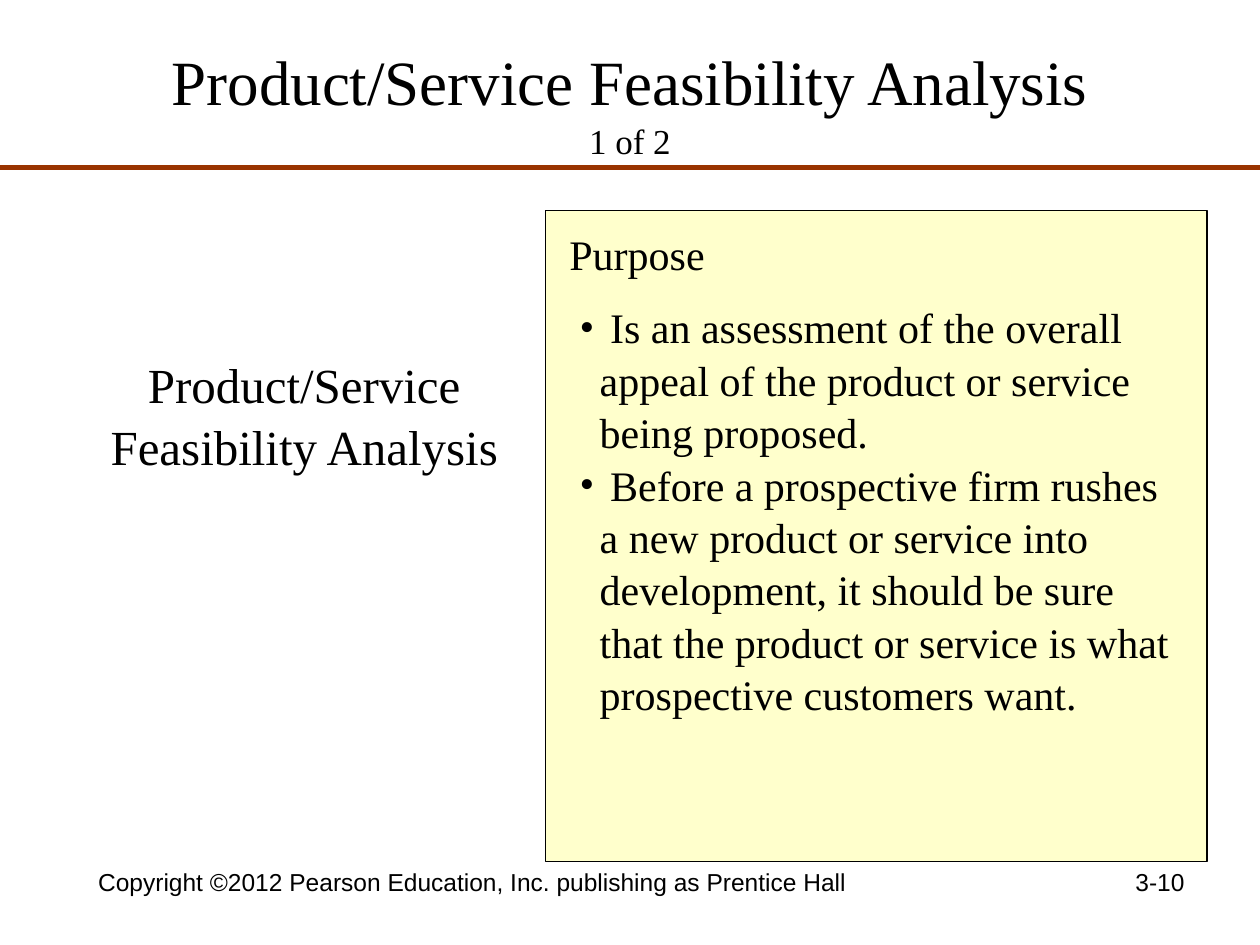
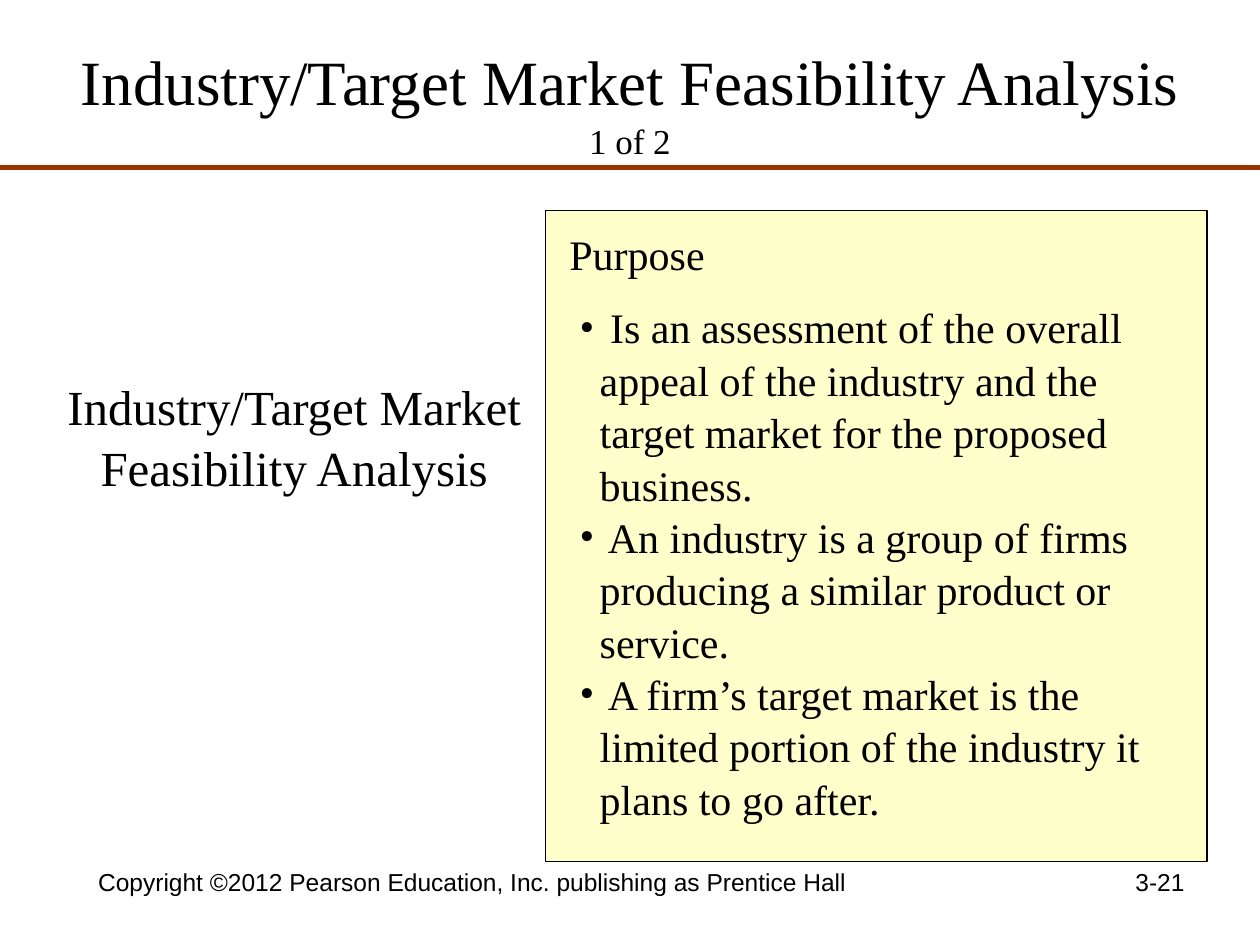
import pptx
import pptx.dml.color
import pptx.enum.shapes
import pptx.enum.text
import pptx.oxml.ns
import pptx.util
from lxml import etree

Inches = pptx.util.Inches
Pt = pptx.util.Pt
RGB = pptx.dml.color.RGBColor.from_string
ALIGN = pptx.enum.text.PP_ALIGN
ANCHOR = pptx.enum.text.MSO_ANCHOR
qn = pptx.oxml.ns.qn

COLORS = {"text": "000000", "rule": "993300", "panel": "FFFFCC"}
SERIF, SANS = "Times New Roman", "Arial"
LINE_SPACING = 1.04
COPYRIGHT = "Copyright ©2012 Pearson Education, Inc. publishing as Prentice Hall"

SLIDES = [
    {
        "topic": "Product/Service Feasibility Analysis",
        "topic_at": (0.25, 2.75),
        "number": "3-10",
        "body_height": 3.3,
        "points": [
            "Is an assessment of the overall appeal of the product or service "
            "being proposed.",
            "Before a prospective firm rushes a new product or service into "
            "development, it should be sure that the product or service is what "
            "prospective customers want.",
        ],
    },
    {
        "topic": "Industry/Target Market Feasibility Analysis",
        "topic_at": (0.17, 2.92),
        "number": "3-21",
        "body_height": 4.1,
        "points": [
            "Is an assessment of the overall appeal of the industry and the "
            "target market for the proposed business.",
            "An industry is a group of firms producing a similar product or "
            "service.",
            "A firm’s target market is the limited portion of the industry it "
            "plans to go after.",
        ],
    },
]


def place(shape, left, top, width, height):
    shape.left, shape.top = Inches(left), Inches(top)
    shape.width, shape.height = Inches(width), Inches(height)


def write(shape, lines, size, align=ALIGN.LEFT, font=SERIF, bulleted=False,
          spacing=LINE_SPACING):
    """Fill a shape with one uniformly formatted paragraph per line."""
    frame = shape.text_frame
    frame.word_wrap = True
    frame.auto_size = pptx.enum.text.MSO_AUTO_SIZE.NONE
    for index, line in enumerate(lines):
        para = frame.paragraphs[0] if index == 0 else frame.add_paragraph()
        para.text = line
        para.alignment = align
        para.line_spacing = spacing
        para.space_before = Pt(0)
        if bulleted:
            properties = para._p.get_or_add_pPr()
            properties.set("marL", str(Inches(0.16)))
            properties.set("indent", str(-Inches(0.16)))
            etree.SubElement(properties, qn("a:buFont"), typeface=SERIF)
            etree.SubElement(properties, qn("a:buChar"), char="•")
        para.font.name = font
        para.font.size = Pt(size)
        para.font.color.rgb = RGB(COLORS["text"])
    return frame


deck = pptx.Presentation()
deck.slide_width, deck.slide_height = Inches(10), Inches(7.5)

for content in SLIDES:
    page = deck.slides.add_slide(deck.slide_layouts[1])
    shapes = page.shapes

    title = shapes.title
    place(title, 0.5, 0.17, 9, 1.25)
    title_frame = write(title, [content["topic"] + "\v1 of 2"], 36, ALIGN.CENTER)
    title_frame.vertical_anchor = ANCHOR.MIDDLE
    title_frame.paragraphs[0].runs[1].font.size = Pt(20)

    rule = shapes.add_connector(
        pptx.enum.shapes.MSO_CONNECTOR.STRAIGHT,
        Inches(0), Inches(1.33), Inches(10), Inches(1.33))
    rule.line.color.rgb = RGB(COLORS["rule"])
    rule.line.width = Pt(3)
    etree.SubElement(rule.element.spPr, qn("a:effectLst"))

    panel = shapes.add_shape(
        pptx.enum.shapes.MSO_SHAPE.RECTANGLE,
        Inches(4.33), Inches(1.67), Inches(5.25), Inches(5.17))
    panel.shadow.inherit = False
    panel.fill.solid()
    panel.fill.fore_color.rgb = RGB(COLORS["panel"])
    panel.line.color.rgb = RGB(COLORS["text"])
    panel.line.width = Pt(0.75)

    # The list must lie in front of the panel.
    body = page.placeholders[1]
    panel.element.addnext(body.element)
    place(body, 4.5, 2.33, 5, content["body_height"])
    points = [" " + point for point in content["points"]]
    body_frame = write(body, points, 24, bulleted=True)
    body_frame.vertical_anchor = ANCHOR.TOP
    body_frame.margin_right = Inches(0.15)

    for text, area, size, align, font, spacing in [
        (content["topic"], (*content["topic_at"], 4.33, 1.04), 28,
         ALIGN.CENTER, SERIF, LINE_SPACING),
        ("Purpose", (4.42, 1.75, 5.08, 0.5), 24, ALIGN.LEFT, SERIF, LINE_SPACING),
        (COPYRIGHT, (0.5, 6.83, 6.5, 0.52), 14, ALIGN.CENTER, SANS, 1.0),
        (content["number"], (7.17, 6.83, 2.33, 0.52), 14, ALIGN.RIGHT, SANS, 1.0),
    ]:
        box = shapes.add_textbox(*map(Inches, area))
        write(box, [text], size, align, font, spacing=spacing)

deck.save("out.pptx")
